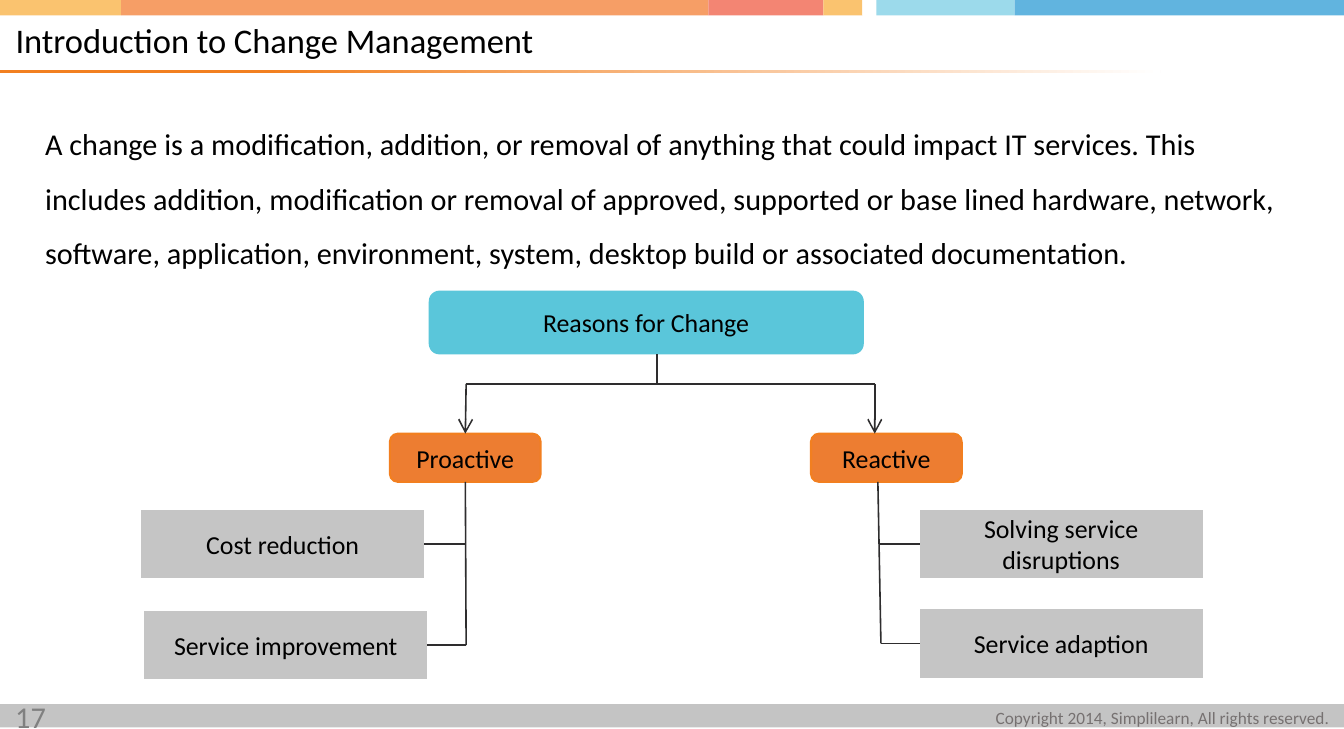
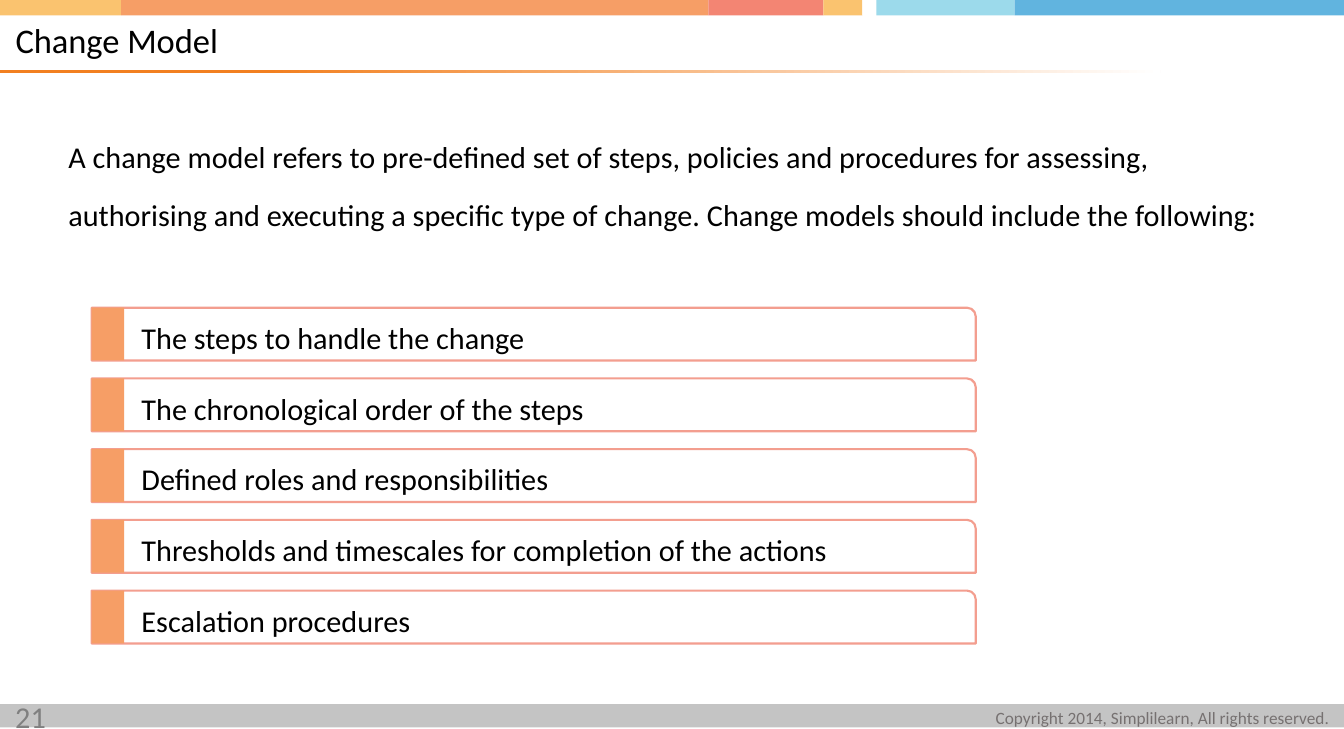
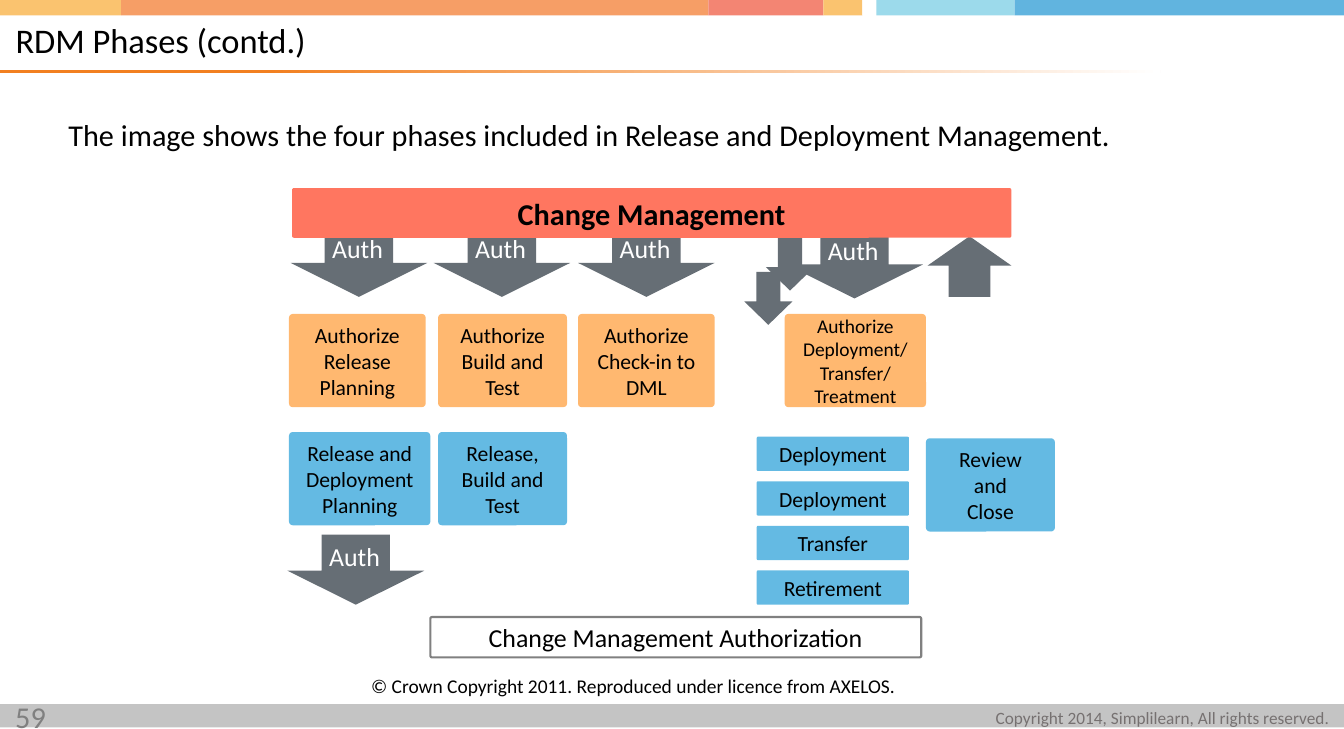
import pptx
import pptx.dml.color
import pptx.enum.shapes
import pptx.enum.text
import pptx.oxml
import pptx.util

Inches = pptx.util.Inches
Pt = pptx.util.Pt
SHAPE = pptx.enum.shapes.MSO_SHAPE
ALIGN = pptx.enum.text.PP_ALIGN
ANCHOR = pptx.enum.text.MSO_ANCHOR

# Shared look
WIDTH, HEIGHT = 8.65, 4.69
FONT = "Calibri"
BLACK, WHITE, GREY = "000000", "FFFFFF", "808080"
ORANGE, SALMON, LINE = "F69E66", "F39E8F", "2E2D2E"
SLATE, APRICOT, BLUE = "666E75", "FFB870", "64BAE3"
BAND_EDGES = [0, 0.78, 4.56, 5.3, 5.55, 5.64, 6.53, WIDTH]
BAND_COLOURS = ["FAC36F", ORANGE, "F38573", "FAC36F", WHITE, "9CDAEB", "61B4DF"]
COPYRIGHT = "Copyright 2014, Simplilearn, All rights reserved."

# Slide texts: title, page number, body, body place, line spacing
INTRODUCTION = (
    "Introduction to Change Management", "17",
    "A change is a modification, addition, or removal of anything that could impact "
    "IT services. This includes addition, modification or removal of approved, "
    "supported or base lined hardware, network, software, application, environment, "
    "system, desktop build or associated documentation.",
    (0.19, 0.64, 8.26, 1.2), 1.5)
MODEL = (
    "Change Model", "21",
    "A change model refers to pre-defined set of steps, policies and procedures for "
    "assessing, authorising and executing a specific type of change. Change models "
    "should include the following:",
    (0.34, 0.7, 7.96, 0.8), 1.6)
PHASES = (
    "RDM Phases (contd.)", "59",
    "The image shows the four phases included in Release and Deployment Management.",
    (0.34, 0.7, 7.96, 0.49), 1.0)

# Reasons tree: text, left, top, style
TREE_STYLES = {
    "root": (SHAPE.ROUNDED_RECTANGLE, 2.8, 0.41, "5AC6DA", None),
    "branch": (SHAPE.ROUNDED_RECTANGLE, 0.97, 0.31, "ED7D31", "F27F20"),
    "leaf": (SHAPE.FLOWCHART_PROCESS, 1.82, 0.44, "C5C5C5", None),
}
TREE_BOXES = [
    ("Reasons for Change", 2.76, 1.87, "root"),
    ("Proactive", 2.51, 2.79, "branch"),
    ("Reactive", 5.22, 2.79, "branch"),
    ("Cost reduction", 0.91, 3.28, "leaf"),
    ("Service improvement", 0.93, 3.93, "leaf"),
    ("Solving service disruptions", 5.92, 3.28, "leaf"),
    ("Service adaption", 5.92, 3.92, "leaf"),
]
# Start, end, arrowhead, box joined at the start, box joined at the end
TREE_LINES = [
    ((4.23, 2.28), (4.23, 2.47), False, None, None),
    ((3, 2.47), (5.63, 2.47), False, None, None),
    ((3, 2.47), (3, 2.79), True, None, ("Proactive", 0)),
    ((5.63, 2.47), (5.63, 2.79), True, None, None),
    ((3, 3.1), (3, 4.15), False, ("Proactive", 2), None),
    ((5.65, 3.1), (5.67, 4.14), False, None, None),
    ((2.73, 3.5), (3, 3.5), False, ("Cost reduction", 3), None),
    ((2.75, 4.15), (3, 4.15), False, ("Service improvement", 3), None),
    ((5.66, 3.5), (5.92, 3.5), False, None, ("Solving service disruptions", 1)),
    ((5.67, 4.14), (5.92, 4.14), False, None, ("Service adaption", 1)),
]

MODEL_STEPS = [
    "The steps to handle the change",
    "The chronological order of the steps",
    "Defined roles and responsibilities",
    "Thresholds and timescales for completion of the actions",
    "Escalation procedures",
]

# Release phases
AUTH_ARROWS = [(1.87, 1.46), (2.79, 1.46), (3.72, 1.46), (5.06, 1.47), (1.85, 3.44)]
PLAIN_ARROWS = [
    (SHAPE.UP_ARROW, (5.97, 1.52, 0.54, 0.39)),
    (SHAPE.DOWN_ARROW, (4.93, 1.53, 0.31, 0.34)),
    (SHAPE.DOWN_ARROW, (4.79, 1.75, 0.31, 0.34)),
]
PHASE_BOXES = [
    ("Change Management", (1.88, 1.21, 4.63, 0.32), "FF7660", 14),
    ("Authorize\nRelease\nPlanning", (1.86, 2.02, 0.88, 0.6), APRICOT, 10),
    ("Authorize\nBuild and\nTest", (2.82, 2.02, 0.83, 0.6), APRICOT, 10),
    ("Authorize\nCheck-in to DML", (3.72, 2.02, 0.88, 0.6), APRICOT, 10),
    ("Authorize\nDeployment/Transfer/Treatment", (5.05, 2.02, 0.91, 0.6), APRICOT, 9),
    ("Release and\nDeployment\nPlanning", (1.86, 2.78, 0.91, 0.6), BLUE, 10),
    ("Release, Build and\nTest", (2.82, 2.78, 0.83, 0.6), BLUE, 10),
    ("Review and\nClose", (5.96, 2.82, 0.83, 0.6), BLUE, 10),
    ("Change Management Authorization", (2.77, 3.97, 3.16, 0.26), WHITE, 12),
]
STACK = ["Deployment", "Deployment", "Transfer", "Retirement"]
STACK_TOP, STACK_BOTTOM = 2.81, 3.67
CREDIT = "© Crown Copyright 2011. Reproduced under licence from AXELOS."


def rgb(colour):
    return pptx.dml.color.RGBColor.from_string(colour)


def apply(target, values):
    for name, value in values.items():
        setattr(target, name, value)


def drawing_xml(tag, attributes=""):
    return pptx.oxml.parse_xml(
        f'<a:{tag} xmlns:a="http://schemas.openxmlformats.org/drawingml/2006/main"'
        f' {attributes}/>')


def place(shape, box):
    apply(shape, dict(zip(("left", "top", "width", "height"), map(Inches, box))))


def write(shape, text, size, colour=BLACK, bold=False, frame=None, **paragraph_format):
    """Fill a shape with one paragraph per line of text."""
    text_frame = shape.text_frame
    apply(text_frame, {"word_wrap": True, "vertical_anchor": ANCHOR.TOP,
                       "auto_size": pptx.enum.text.MSO_AUTO_SIZE.NONE, **(frame or {})})
    text_frame.text = text
    for paragraph in text_frame.paragraphs:
        apply(paragraph, {"alignment": ALIGN.LEFT, "space_before": Pt(0),
                          **paragraph_format})
        for run in paragraph.runs:
            apply(run.font, {"name": FONT, "size": Pt(size), "bold": bold})
            run.font.color.rgb = rgb(colour)


def add_shape(slide, kind, box, fill, line=None, adjustments=()):
    shape = slide.shapes.add_shape(kind, *map(Inches, box))
    shape.shadow.inherit = False
    shape.fill.solid()
    shape.fill.fore_color.rgb = rgb(fill)
    if line:
        shape.line.color.rgb = rgb(line)
        shape.line.width = Pt(1)
    else:
        shape.line.fill.background()
    for index, value in enumerate(adjustments):
        shape.adjustments[index] = value
    return shape


def add_text(slide, box, text, size, **options):
    shape = slide.shapes.add_textbox(*map(Inches, box))
    write(shape, text, size, **options)
    return shape


def write_centred(shape, text, size, bold=False):
    write(shape, text, size, bold=bold, frame={"vertical_anchor": ANCHOR.MIDDLE},
          alignment=ALIGN.CENTER)


def add_line(slide, start, end, arrow):
    connector = slide.shapes.add_connector(
        pptx.enum.shapes.MSO_CONNECTOR.STRAIGHT, *map(Inches, start + end))
    connector.line.color.rgb = rgb(LINE)
    connector.line.width = Pt(0.75)
    properties = connector.element.spPr
    if arrow:
        properties.xpath("./a:ln")[0].append(drawing_xml("tailEnd", 'type="arrow"'))
    properties.append(drawing_xml("effectLst"))
    return connector


def prepare_layout(layout, slide):
    """Draw bands, rule and footer once and hand them to the layout."""
    for placeholder in list(layout.placeholders)[2:]:
        placeholder.element.getparent().remove(placeholder.element)
    place(layout.placeholders[0], (0, 0.1, 7.08, 0.34))
    place(layout.placeholders[1], (0.34, 0.7, 7.96, 3.6))

    shared = [add_shape(slide, SHAPE.RECTANGLE, (0, 4.53, WIDTH, 0.15), "C4C4C4")]
    shared.append(add_text(
        slide, (6.4, 4.5, 2.16, 0.24), COPYRIGHT, 8, colour="767171",
        frame={"word_wrap": False, "margin_left": 0, "margin_right": 0},
        alignment=ALIGN.RIGHT))
    for left, right, colour in zip(BAND_EDGES, BAND_EDGES[1:], BAND_COLOURS):
        shared.append(add_shape(
            slide, SHAPE.RECTANGLE, (left, 0, right - left, 0.1), colour))

    rule = add_shape(slide, SHAPE.RECTANGLE, (0, 0.45, 7.47, 0.02), WHITE)
    rule.fill.gradient()
    rule.fill.gradient_angle = 0
    stops = zip(rule.fill.gradient_stops, ((0.23, "F28020"), (1, WHITE)))
    for stop, (position, colour) in stops:
        stop.position = position
        stop.color.rgb = rgb(colour)
    shared.append(rule)

    for number, shape in enumerate(shared, 100):
        shape.element.xpath("./p:nvSpPr/p:cNvPr")[0].set("id", str(number))
        layout.shapes.element.append(shape.element)


def add_slide(presentation, content):
    title, page, body, body_box, line_spacing = content
    layout = presentation.slide_layouts[1]
    slide = presentation.slides.add_slide(layout)
    if len(presentation.slides) == 1:
        prepare_layout(layout, slide)
    write(slide.shapes.title, title, 16, line_spacing=0.9,
          frame={"vertical_anchor": ANCHOR.MIDDLE, "margin_left": Inches(0.1),
                 "margin_right": 0, "margin_top": 0, "margin_bottom": 0})
    body_shape = slide.placeholders[1]
    place(body_shape, body_box)
    write(body_shape, body, 14, line_spacing=line_spacing)
    for paragraph in body_shape.text_frame.paragraphs:
        properties = paragraph._p.get_or_add_pPr()
        properties.set("marL", "0")
        properties.set("indent", "0")
        properties.append(drawing_xml("buNone"))
    add_text(slide, (0, 4.44, 0.63, 0.25), page, 14, colour=GREY)
    return slide


def draw_reasons_tree(slide):
    boxes = {}
    for text, left, top, style in TREE_BOXES:
        kind, width, height, fill, line = TREE_STYLES[style]
        boxes[text] = add_shape(slide, kind, (left, top, width, height), fill, line)
        write_centred(boxes[text], text, 12)
    for start, end, arrow, joined_start, joined_end in TREE_LINES:
        connector = add_line(slide, start, end, arrow)
        if joined_start:
            connector.begin_connect(boxes[joined_start[0]], joined_start[1])
        if joined_end:
            connector.end_connect(boxes[joined_end[0]], joined_end[1])


def draw_model_steps(slide):
    left, first_top, last_top, height = 0.59, 1.98, 3.8, 0.34
    pitch = (last_top - first_top) / (len(MODEL_STEPS) - 1)
    for index, step in enumerate(MODEL_STEPS):
        top = first_top + index * pitch
        box = add_shape(slide, SHAPE.ROUND_1_RECTANGLE,
                        (left, top, 5.69, height), WHITE, SALMON)
        write(box, step, 14, line_spacing=0.9,
              frame={"margin_left": Inches(0.32), "margin_top": Inches(0.1),
                     "margin_bottom": 0})
        add_shape(slide, SHAPE.RECTANGLE, (left, top, 0.21, height), ORANGE)


def draw_phases(slide):
    arrow_adjustments = (0.5, 0.485)
    for left, top in AUTH_ARROWS:
        add_shape(slide, SHAPE.DOWN_ARROW, (left, top, 0.88, 0.45), SLATE,
                  adjustments=arrow_adjustments)
        add_text(slide, (left + 0.17, top - 0.01, 0.63, 0.34), "Auth", 12, colour=WHITE)
    for kind, box in PLAIN_ARROWS:
        add_shape(slide, kind, box, SLATE, adjustments=arrow_adjustments)
    pitch = (STACK_BOTTOM - STACK_TOP) / (len(STACK) - 1)
    stack_boxes = [(text, (4.87, STACK_TOP + index * pitch, 0.98, 0.22), BLUE, 10)
                   for index, text in enumerate(STACK)]
    for text, box, fill, size in PHASE_BOXES + stack_boxes:
        shape = add_shape(slide, SHAPE.ROUNDED_RECTANGLE, box, fill,
                          GREY if fill == WHITE else None, (0.041,))
        write_centred(shape, text, size, bold=size == 14)
    add_text(slide, (2.29, 4.29, 3.61, 0.25), CREDIT, 9)


def main():
    presentation = pptx.Presentation()
    presentation.slide_width = Inches(WIDTH)
    presentation.slide_height = Inches(HEIGHT)
    for content, draw in ((INTRODUCTION, draw_reasons_tree),
                          (MODEL, draw_model_steps),
                          (PHASES, draw_phases)):
        draw(add_slide(presentation, content))
    presentation.save("out.pptx")


if __name__ == "__main__":
    main()
